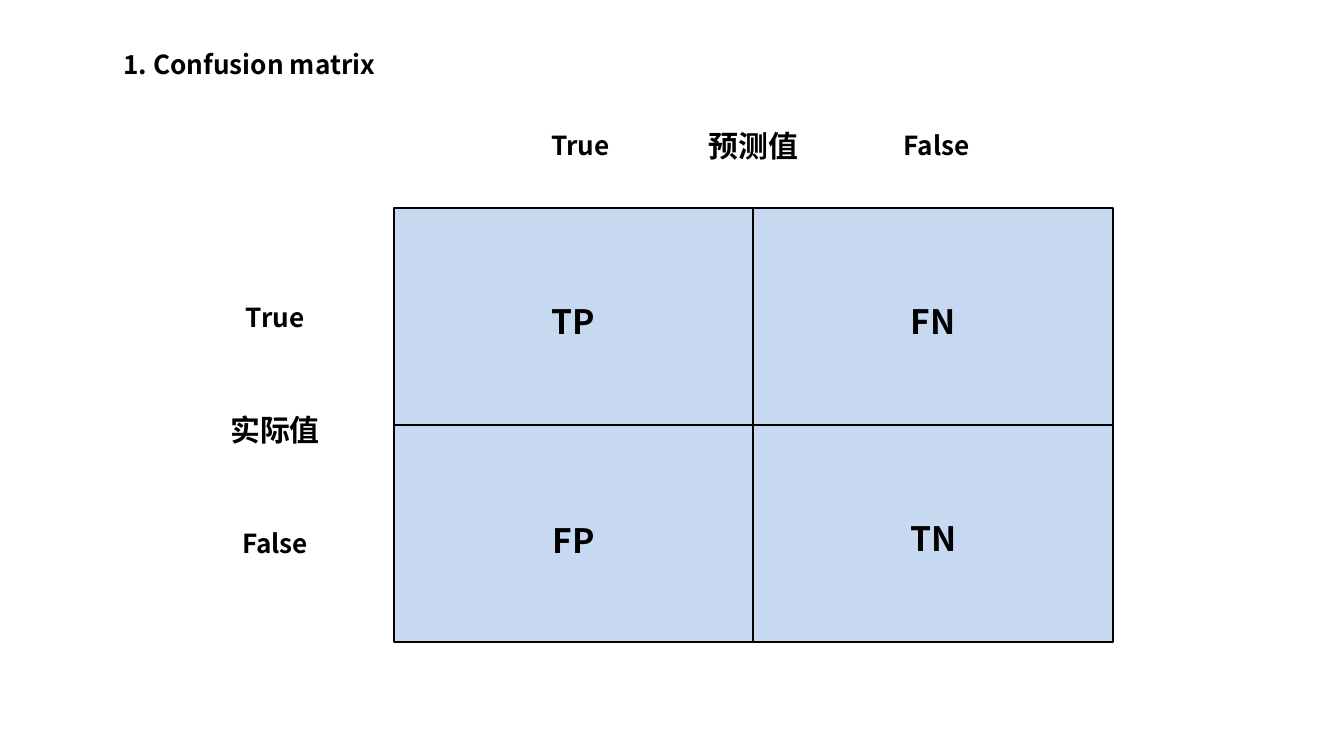
from pptx import Presentation
from pptx.dml.color import RGBColor
from pptx.enum.shapes import MSO_CONNECTOR, MSO_SHAPE
from pptx.enum.text import MSO_ANCHOR, MSO_AUTO_SIZE, PP_ALIGN
from pptx.oxml.ns import qn
from pptx.util import Inches, Pt
from lxml.etree import SubElement

# The matrix is a grid of 2 by 2 cells; all places are counted in its columns and rows
LEFT, TOP = 2.93, 1.55
COLUMN, ROW = 5.35 / 2, 3.23 / 2


def colour(code):
    return RGBColor.from_string(code)


def write(frame, text, size=14, bold=True, ink="000000", align=PP_ALIGN.CENTER, wrap=True):
    frame.auto_size = MSO_AUTO_SIZE.NONE
    frame.word_wrap = wrap
    frame.vertical_anchor = MSO_ANCHOR.MIDDLE
    para = frame.paragraphs[0]
    para.alignment = align
    span = para.add_run()
    span.text = text
    span.font.size = Pt(size)
    span.font.bold = bold
    span.font.color.rgb = colour(ink)
    span.font.name = "Noto Sans CJK SC"
    SubElement(span.font._element, qn("a:ea")).set("typeface", "Noto Sans CJK SC")


class MatrixSlide:
    fill, line, weight = "C6D9F1", "000000", 1

    def __init__(self, deck):
        self.page = deck.slides.add_slide(deck.slide_layouts[5])

    def area(self, column, row, columns, rows):
        return (Inches(LEFT + column * COLUMN), Inches(TOP + row * ROW),
                Inches(columns * COLUMN), Inches(rows * ROW))

    def title(self, text, *place):
        box = self.page.shapes.title
        box.left, box.top, box.width, box.height = self.area(*place)
        write(box.text_frame, text, align=PP_ALIGN.LEFT, wrap=False)

    def label(self, text, column, row, columns=0.26, size=14):
        """Centre a label on a point of the grid."""
        rows = size * 0.015
        place = self.area(column - columns / 2, row - rows / 2, columns, rows)
        write(self.page.shapes.add_textbox(*place).text_frame, text, size=size)

    def rectangle(self, *place):
        box = self.page.shapes.add_shape(MSO_SHAPE.RECTANGLE, *self.area(*place))
        box.shadow.inherit = False
        box.fill.solid()
        box.fill.fore_color.rgb = colour(self.fill)
        self.stroke(box)
        return box

    def divider(self, box, start, end):
        rule = self.page.shapes.add_connector(MSO_CONNECTOR.STRAIGHT, 0, 0, 0, 0)
        rule.begin_connect(box, start)
        rule.end_connect(box, end)
        self.stroke(rule)
        SubElement(rule._element.spPr, qn("a:effectLst"))

    def stroke(self, shape):
        shape.line.color.rgb = colour(self.line)
        shape.line.width = Pt(self.weight)


def main():
    deck = Presentation()
    deck.slide_width = Inches(10)
    deck.slide_height = deck.slide_width * 9 // 16
    slide = MatrixSlide(deck)
    slide.title("1. Confusion matrix", -0.79, -0.77, 0.79, 0.21)

    # Matrix with its dividers
    matrix = slide.rectangle(0, 0, 2, 2)
    slide.divider(matrix, 1, 3)
    slide.divider(matrix, 0, 2)

    # Predicted values across, actual values down
    slide.label("True", 0.52, -0.29)
    slide.label("False", 1.51, -0.29)
    slide.label("True", -0.33, 0.5)
    slide.label("False", -0.33, 1.54)

    # Outcomes
    for text, column, row in [("TP", 0.5, 0.52), ("FN", 1.5, 0.52),
                              ("FP", 0.5, 1.53), ("TN", 1.5, 1.52)]:
        slide.label(text, column, row, size=18)

    # Axis names
    slide.label("预测值", 1, -0.29, columns=0.55, size=16)
    slide.label("实际值", -0.33, 1.02, columns=0.55, size=16)

    deck.save("out.pptx")


if __name__ == "__main__":
    main()
